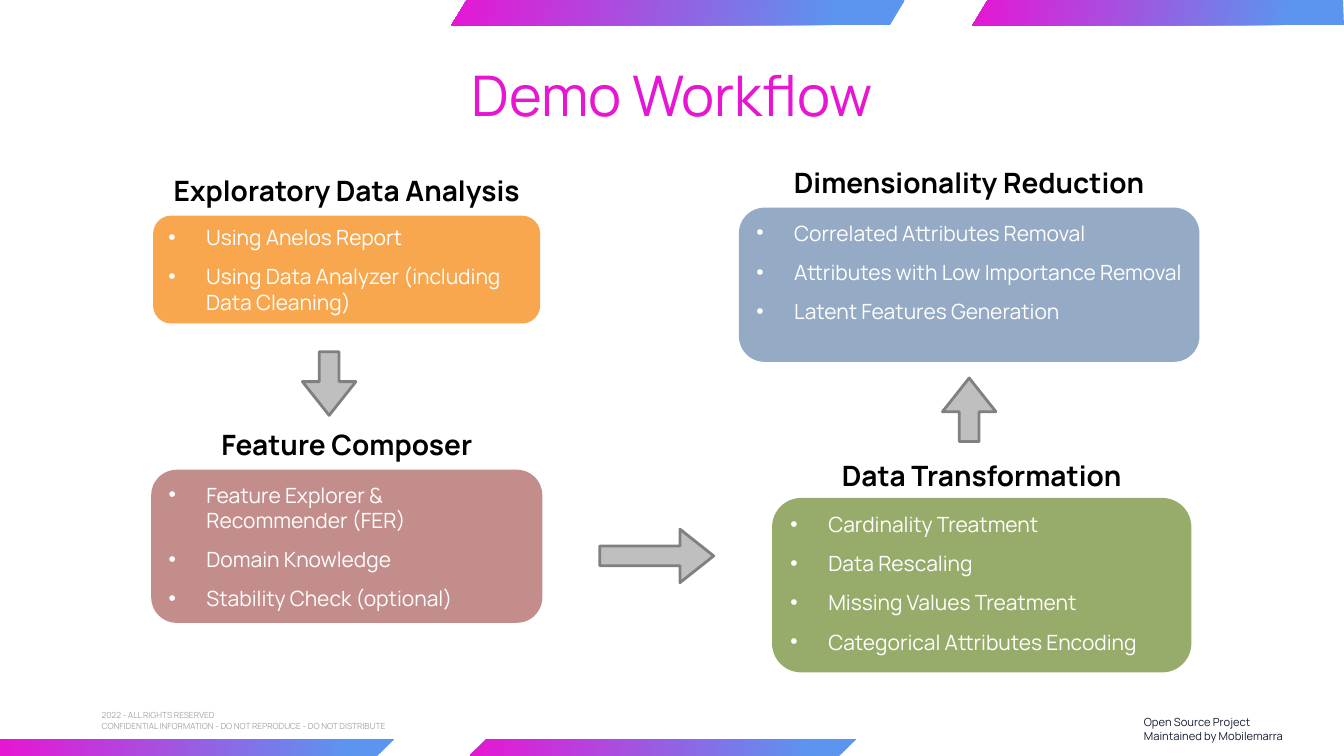
from dataclasses import dataclass

import pptx
import pptx.dml.color
import pptx.enum.shapes
import pptx.enum.text
import pptx.oxml
import pptx.oxml.ns
import pptx.util

Pt = pptx.util.Pt
ALIGN = pptx.enum.text.PP_ALIGN
ANCHOR = pptx.enum.text.MSO_ANCHOR
AUTO_SIZE = pptx.enum.text.MSO_AUTO_SIZE
SHAPE = pptx.enum.shapes.MSO_SHAPE


@dataclass(frozen=True)
class Theme:
    font: str = "Manrope"
    pink: str = "E616D3"
    sky: str = "5B95EF"
    black: str = "000000"
    white: str = "FFFFFF"
    navy: str = "141E31"
    notice_gray: str = "A6A6A6"
    arrow_fill: str = "BFBFBF"
    arrow_line: str = "808080"
    orange: str = "F78F1E"
    red: str = "AD6362"
    green: str = "77933C"
    blue: str = "6D8BB0"
    title_size: float = 40
    heading_size: float = 20
    bullet_size: float = 15
    credit_size: float = 8
    notice_size: float = 6


THEME = Theme()
BULLET_INDENT = 27
HEADING_HEIGHT = 31.7


def rgb(color):
    return pptx.dml.color.RGBColor.from_string(color)


def points(*values):
    return [Pt(value) for value in values]


def format_text(text_frame, size, color, bold=False, align=ALIGN.LEFT):
    for paragraph in text_frame.paragraphs:
        paragraph.alignment = align
        for run in paragraph.runs:
            run.font.name = THEME.font
            run.font.size = Pt(size)
            run.font.bold = bold
            run.font.color.rgb = rgb(color)


def add_label(slide, box, text, size, color, bold=False, align=ALIGN.LEFT):
    text_frame = slide.shapes.add_textbox(*points(*box)).text_frame
    text_frame.word_wrap = True
    text_frame.auto_size = AUTO_SIZE.SHAPE_TO_FIT_TEXT
    text_frame.text = text
    format_text(text_frame, size, color, bold, align)


def add_banner(slide, corners, blue_stop, angle):
    """Draw a slanted strip that fades from pink on the left to blue."""
    first, *others = [points(*corner) for corner in corners]
    builder = slide.shapes.build_freeform(*first, scale=1.0)
    builder.add_line_segments(others, close=True)
    shape = builder.convert_to_shape()
    shape.shadow.inherit = False
    shape.line.fill.background()
    shape.fill.gradient()
    shape.fill.gradient_angle = angle
    stops = ((blue_stop, THEME.sky), (1, THEME.pink))
    for stop, (position, color) in zip(shape.fill.gradient_stops, stops):
        stop.position = position
        stop.color.rgb = rgb(color)


def set_opacity(shape, percent):
    color = shape._element.spPr.find(pptx.oxml.ns.qn("a:solidFill"))[0]
    color.append(pptx.oxml.parse_xml(
        f'<a:alpha {pptx.oxml.ns.nsdecls("a")} val="{percent * 1000}"/>'))


def add_bullet(paragraph):
    paragraph.space_before = Pt(10)
    properties = paragraph._p.get_or_add_pPr()
    properties.set("marL", str(Pt(BULLET_INDENT)))
    properties.set("indent", str(-Pt(BULLET_INDENT)))
    namespace = pptx.oxml.ns.nsdecls("a")
    properties.append(pptx.oxml.parse_xml(f'<a:buFont {namespace} typeface="Arial"/>'))
    properties.append(pptx.oxml.parse_xml(f'<a:buChar {namespace} char="•"/>'))


def add_bullet_card(slide, box, color, opacity, items, anchor=ANCHOR.TOP):
    shape = slide.shapes.add_shape(SHAPE.ROUNDED_RECTANGLE, *points(*box))
    shape.shadow.inherit = False
    shape.line.fill.background()
    shape.fill.solid()
    shape.fill.fore_color.rgb = rgb(color)
    set_opacity(shape, opacity)
    text_frame = shape.text_frame
    text_frame.word_wrap = True
    text_frame.vertical_anchor = anchor
    text_frame.text = "\n".join(items)
    format_text(text_frame, THEME.bullet_size, THEME.white)
    for paragraph in text_frame.paragraphs:
        add_bullet(paragraph)


def add_stage(slide, heading, heading_box, *card):
    add_label(slide, (*heading_box, HEADING_HEIGHT), heading,
              THEME.heading_size, THEME.black, True, ALIGN.CENTER)
    add_bullet_card(slide, *card)


def add_arrow(slide, left, top, width, rotation=0):
    shape = slide.shapes.add_shape(SHAPE.RIGHT_ARROW, *points(left, top, width, 38.2))
    shape.shadow.inherit = False
    shape.rotation = rotation
    shape.adjustments[0] = 0.37
    shape.adjustments[1] = 0.63
    shape.fill.solid()
    shape.fill.fore_color.rgb = rgb(THEME.arrow_fill)
    shape.line.color.rgb = rgb(THEME.arrow_line)
    shape.line.width = Pt(2)


def set_title(slide, text):
    title = slide.shapes.title
    title.left, title.top, title.width, title.height = points(0.7, 22.3, 959, 90)
    title.text_frame.text = text
    title.text_frame.auto_size = AUTO_SIZE.NONE
    title.text_frame.vertical_anchor = ANCHOR.MIDDLE
    format_text(title.text_frame, THEME.title_size, THEME.pink, align=ALIGN.CENTER)


def add_frame(slide):
    """Add the banners and small print at the slide's edges."""
    add_label(slide, (810, 507.6, 144, 26.6),
              "Open Source Project\nMaintained by Mobilemarra",
              THEME.credit_size, THEME.navy)
    add_label(slide, (65.5, 504, 432, 21.6),
              "2022 - ALL RIGHTS RESERVED\n"
              "CONFIDENTIAL INFORMATION - DO NOT REPRODUCE - DO NOT DISTRIBUTE",
              THEME.notice_size, THEME.notice_gray)
    top_banners = (
        ((322.5, 18), (333.4, 0), (646.5, 0), (635.7, 18)),
        ((694.8, 18), (705.6, 0), (959.3, 0), (960, 18)),
    )
    bottom_banners = (
        ((0, 528), (281.7, 528), (269.5, 540), (0, 540)),
        ((347.7, 528), (611.7, 528), (599.5, 540), (335.5, 540)),
    )
    for corners in top_banners:
        add_banner(slide, corners, 0.15, 170)
    for corners in bottom_banners:
        add_banner(slide, corners, 0.12, 180)


def main():
    presentation = pptx.Presentation()
    presentation.slide_width, presentation.slide_height = points(960, 540)
    slide = presentation.slides.add_slide(presentation.slide_layouts[5])
    add_frame(slide)
    set_title(slide, "Demo Workflow")

    add_stage(slide, "Exploratory Data Analysis", (108, 120.2, 279.4),
              (109.4, 154.1, 276.5, 77), THEME.orange, 78,
              ("Using Anelos Report",
               "Using Data Analyzer (including Data Cleaning)"), ANCHOR.MIDDLE)
    add_stage(slide, "Feature Composer", (108, 301.7, 279.4),
              (108, 335.5, 279.4, 109.4), THEME.red, 73,
              ("Feature Explorer & Recommender (FER)", "Domain Knowledge",
               "Stability Check (optional)"))
    add_stage(slide, "Data Transformation", (551.5, 324, 299.5),
              (551.5, 355.7, 299.5, 124.6), THEME.green, 76,
              ("Cardinality Treatment", "Data Rescaling",
               "Missing Values Treatment", "Categorical Attributes Encoding"))
    add_stage(slide, "Dimensionality Reduction", (527.8, 114.5, 329),
              (527.8, 148.3, 329, 110.2), THEME.blue, 73,
              ("Correlated Attributes Removal",
               "Attributes with Low Importance Removal",
               "Latent Features Generation"))

    add_arrow(slide, 212.4, 254.9, 45.4, rotation=90)
    add_arrow(slide, 428.4, 378, 81.4)
    add_arrow(slide, 669.6, 273.6, 45.4, rotation=270)
    presentation.save("out.pptx")


if __name__ == "__main__":
    main()
